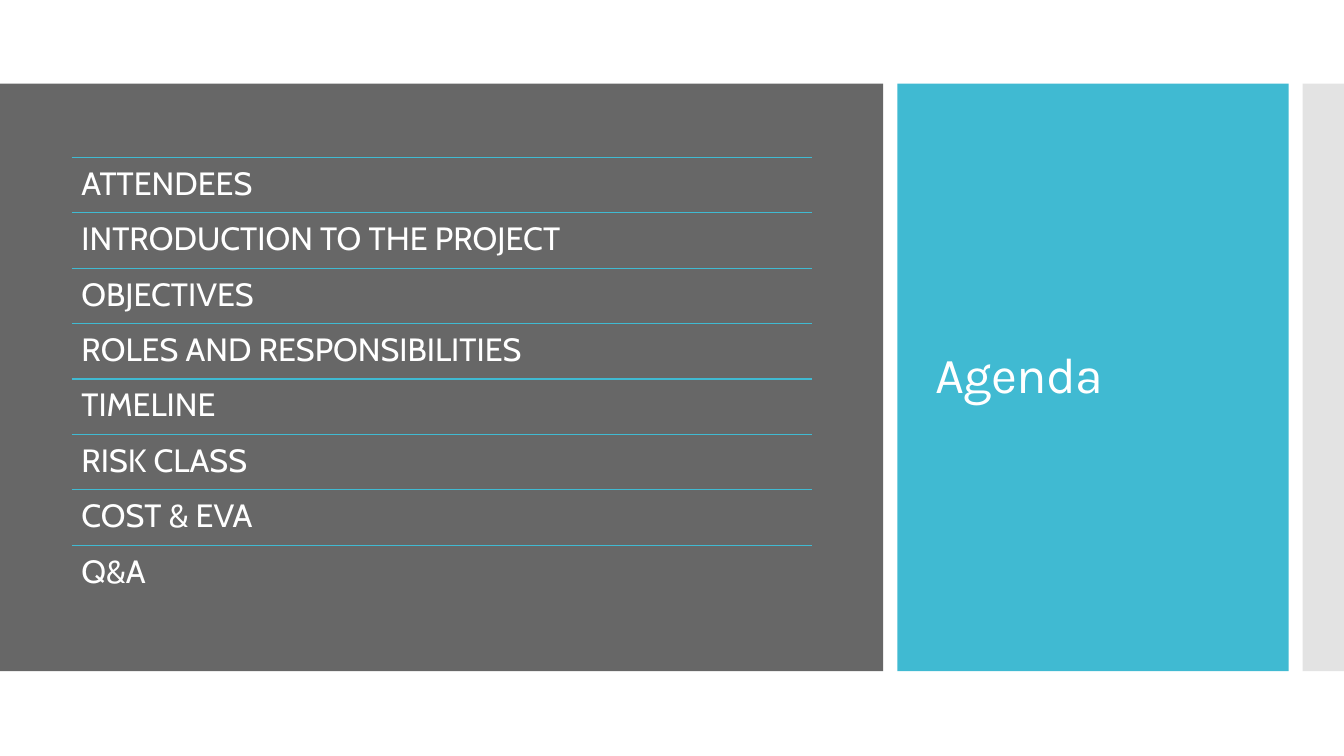
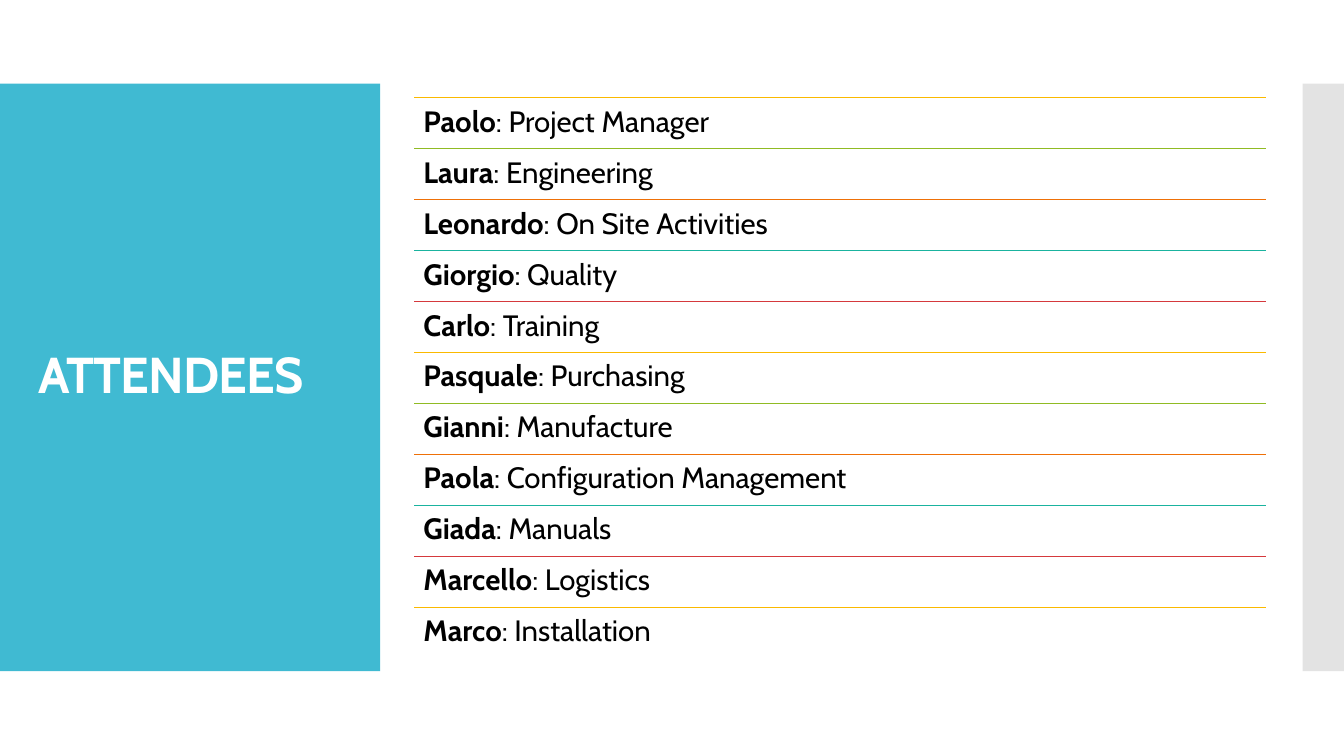
from itertools import cycle

from lxml.etree import SubElement
from pptx import Presentation
from pptx.dml.color import RGBColor
from pptx.enum.shapes import MSO_CONNECTOR, MSO_SHAPE
from pptx.enum.text import MSO_ANCHOR, MSO_AUTO_SIZE, PP_ALIGN
from pptx.oxml.ns import qn
from pptx.util import Inches, Pt

WHITE = RGBColor(0xFF, 0xFF, 0xFF)
BLACK = RGBColor(0x00, 0x00, 0x00)
GRAY = RGBColor(0x67, 0x67, 0x67)
SILVER = RGBColor(0xC8, 0xC8, 0xC8)
BLUE = RGBColor(0x40, 0xBA, 0xD2)
YELLOW = RGBColor(0xFA, 0xB9, 0x00)
GREEN = RGBColor(0x90, 0xBB, 0x23)
ORANGE = RGBColor(0xEE, 0x70, 0x08)
TEAL = RGBColor(0x1A, 0xB3, 0x9F)
RED = RGBColor(0xD5, 0x39, 0x3D)

HEAD_FONT = "Karla"
BODY_FONT = "Cabin"
BAND_TOP, BAND_HEIGHT = 0.83, 5.83

AGENDA = [
    "ATTENDEES",
    "INTRODUCTION TO THE PROJECT",
    "OBJECTIVES",
    "ROLES AND RESPONSIBILITIES",
    "TIMELINE",
    "RISK CLASS",
    "COST & EVA",
    "Q&A",
]
ATTENDEES = [
    ("Paolo", "Project Manager"),
    ("Laura", "Engineering"),
    ("Leonardo", "On Site Activities"),
    ("Giorgio", "Quality"),
    ("Carlo", "Training"),
    ("Pasquale", "Purchasing"),
    ("Gianni", "Manufacture"),
    ("Paola", "Configuration Management"),
    ("Giada", "Manuals"),
    ("Marcello", "Logistics"),
    ("Marco", "Installation"),
]


def add_run(paragraph, text, font_name, size, color, bold=False):
    run = paragraph.add_run()
    run.text = text
    run.font.name = font_name
    run.font.size = Pt(size)
    run.font.color.rgb = color
    run.font.bold = bold
    return run


def add_band(slide, left, width, color):
    band = slide.shapes.add_shape(
        MSO_SHAPE.RECTANGLE,
        Inches(left), Inches(BAND_TOP), Inches(width), Inches(BAND_HEIGHT),
    )
    band.shadow.inherit = False
    band.fill.solid()
    band.fill.fore_color.rgb = color
    band.line.fill.background()
    return band


def add_edge_band(slide):
    edge = add_band(slide, 12.92, 0.42, SILVER)
    tint = edge.element.find(".//" + qn("a:srgbClr"))
    SubElement(tint, qn("a:alpha"), val="50000")


def add_title_panel(slide, left, width, title_left, text, font_name, bold=False):
    add_band(slide, left, width, BLUE)
    title = slide.shapes.title
    slide.shapes.element.append(title.element)
    title.left, title.top = Inches(title_left), Inches(BAND_TOP + 0.4)
    title.width, title.height = Inches(3.22), Inches(BAND_HEIGHT - 0.8)
    frame = title.text_frame
    frame.word_wrap = True
    frame.auto_size = MSO_AUTO_SIZE.NONE
    frame.vertical_anchor = MSO_ANCHOR.MIDDLE
    heading = frame.paragraphs[0]
    heading.alignment = PP_ALIGN.LEFT
    heading.line_spacing = 0.9
    run = add_run(heading, text, font_name, 36, WHITE, bold)
    run.font._element.set("spc", "-60")


def add_rule(slide, left, top, width, color, weight):
    rule = slide.shapes.add_connector(
        MSO_CONNECTOR.STRAIGHT,
        Inches(left), Inches(top), Inches(left + width), Inches(top),
    )
    rule.line.color.rgb = color
    rule.line.width = Pt(weight)
    SubElement(rule.element.spPr, qn("a:effectLst"))


def add_ruled_list(slide, box, rows, rule_colors, weight, size, color, inset):
    left, top, width, height = box
    pitch = height / len(rows)
    for index, (row, rule_color) in enumerate(zip(rows, cycle(rule_colors))):
        row_top = top + index * pitch
        add_rule(slide, left, row_top, width, rule_color, weight)
        entry = slide.shapes.add_textbox(
            Inches(left), Inches(row_top), Inches(width), Inches(pitch)
        )
        frame = entry.text_frame
        frame.word_wrap = True
        frame.margin_left = frame.margin_right = Inches(inset)
        frame.margin_top = frame.margin_bottom = Inches(inset)
        line = frame.paragraphs[0]
        line.line_spacing = 0.9
        for text, bold in row:
            add_run(line, text, BODY_FONT, size, color, bold)


def build_agenda(slide):
    add_band(slide, 0, 8.76, GRAY)
    add_title_panel(slide, 8.9, 3.88, 9.18, "Agenda", HEAD_FONT)
    add_edge_band(slide)
    topics = [[(topic, False)] for topic in AGENDA]
    add_ruled_list(slide, (0.71, 1.56, 7.34, 4.4), topics, [BLUE],
                   0.75, 23, WHITE, 0.1)


def build_attendees(slide):
    add_edge_band(slide)
    add_title_panel(slide, 0, 3.77, 0.28, "ATTENDEES", BODY_FONT, True)
    people = [[(name, True), (f": {role}", False)] for name, role in ATTENDEES]
    add_ruled_list(slide, (4.11, 0.97, 8.45, 5.56), people,
                   [YELLOW, GREEN, ORANGE, TEAL, RED], 0.85, 21, BLACK, 0.09)


def main():
    deck = Presentation()
    deck.slide_width, deck.slide_height = Inches(13.33), Inches(7.5)
    title_only = deck.slide_layouts[5]
    for build in (build_agenda, build_attendees):
        build(deck.slides.add_slide(title_only))
    deck.save("out.pptx")


if __name__ == "__main__":
    main()
